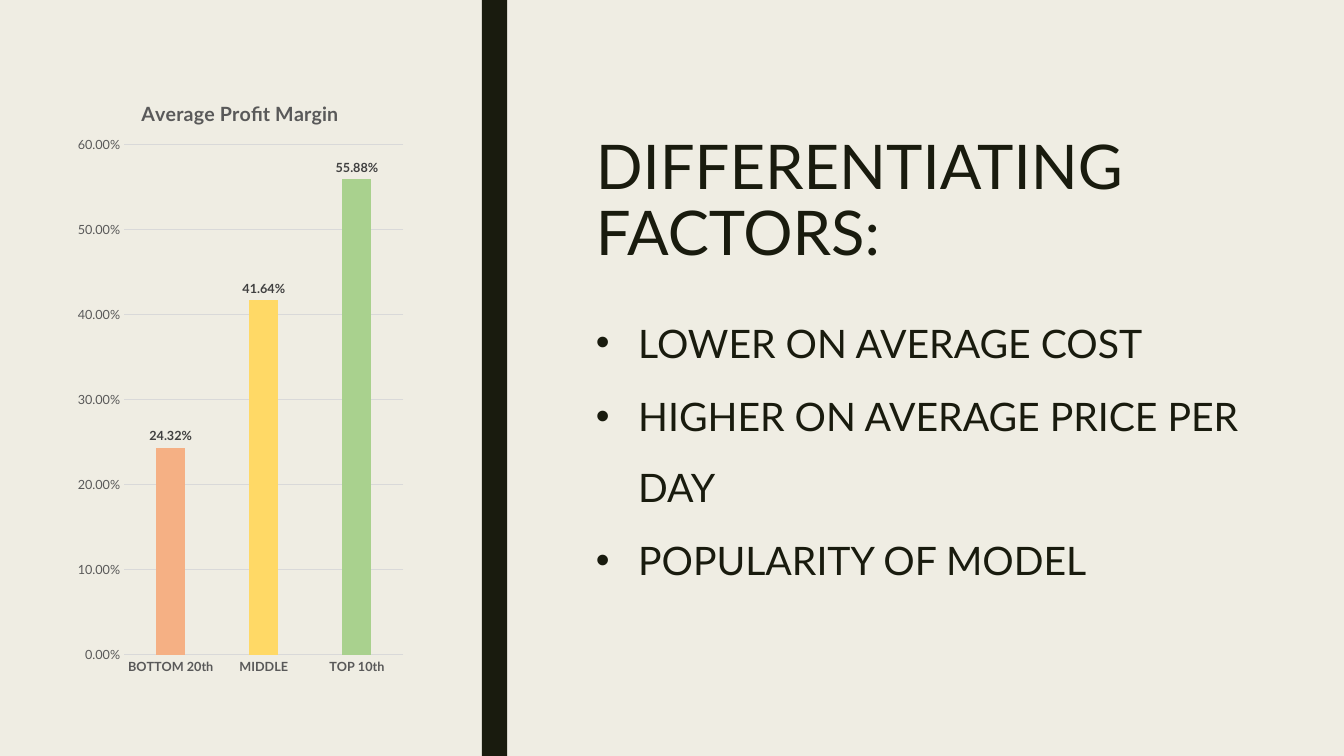
from lxml.etree import SubElement
from pptx import Presentation
from pptx.chart.data import CategoryChartData
from pptx.dml.color import RGBColor
from pptx.enum.chart import XL_CHART_TYPE, XL_LABEL_POSITION, XL_TICK_MARK
from pptx.enum.shapes import MSO_SHAPE
from pptx.enum.text import MSO_ANCHOR, MSO_AUTO_SIZE, PP_ALIGN
from pptx.oxml import parse_xml
from pptx.oxml.ns import nsdecls, qn
from pptx.util import Inches, Pt

COLORS = {
    "paper": "EFEDE3", "ink": "191B0E", "grid": "D9D9D9", "gray": "595959",
    "dark": "404040", "black": "000000", "base": "8C8D86",
    "low": "F5B084", "mid": "FFD966", "high": "A9D18E",
}


class Deck:
    def __init__(self, font):
        self.font = font
        self.show = Presentation()
        self.show.slide_width = Inches(13.33)
        self.show.slide_height = Inches(7.5)
        self.slide = self.show.slides.add_slide(self.show.slide_layouts[1])
        self.fill(self.slide.background.fill, "paper")

    def fill(self, fill, color):
        fill.solid()
        fill.fore_color.rgb = RGBColor.from_string(COLORS[color])

    def style(self, font, size, color, bold=False):
        font.name = self.font
        font.size = Pt(size)
        font.bold = bold
        font.color.rgb = RGBColor.from_string(COLORS[color])

    def text(self, para, words, size=28, color="ink", bold=False,
             space=1.0, after=0, bullet=False):
        para.text = words
        para.alignment = PP_ALIGN.LEFT
        para.line_spacing = space
        para.space_before = Pt(0)
        para.space_after = Pt(after)
        if bullet:
            props = para._p.get_or_add_pPr()
            props.set("marL", str(Inches(0.42)))
            props.set("indent", str(-Inches(0.42)))
            SubElement(props, qn("a:buFont")).set("typeface", "Arial")
            SubElement(props, qn("a:buChar")).set("char", "•")
        self.style(para.runs[0].font, size, color, bold)

    def holder(self, index, box, lines, anchor, **form):
        shape = self.slide.placeholders[index]
        shape.left, shape.top, shape.width, shape.height = map(Inches, box)
        frame = shape.text_frame
        frame.word_wrap = True
        frame.auto_size = MSO_AUTO_SIZE.NONE
        frame.vertical_anchor = anchor
        for i, line in enumerate(lines):
            para = frame.add_paragraph() if i else frame.paragraphs[0]
            self.text(para, line, **form)

    def bar(self, box, color):
        shape = self.slide.shapes.add_shape(
            MSO_SHAPE.RECTANGLE, *map(Inches, box))
        shape.shadow.inherit = False
        self.fill(shape.fill, color)
        shape.line.fill.background()

    def place(self, node, index, **parts):
        for old in node.findall(qn("c:layout")):
            node.remove(old)
        marks = "".join(f'<c:{k} val="{v}"/>' for k, v in parts.items())
        node.insert(index, parse_xml(
            f'<c:layout {nsdecls("c")}><c:manualLayout>{marks}'
            '</c:manualLayout></c:layout>'))

    def line(self, form):
        form.line.width = Pt(0.75)
        self.fill(form.line.fill, "grid")

    def chart(self, box, title, names, values, colors):
        data = CategoryChartData(number_format="0.00%")
        data.categories = names
        data.add_series("Series 1", values)
        chart = self.slide.shapes.add_chart(
            XL_CHART_TYPE.COLUMN_CLUSTERED, *map(Inches, box), data).chart
        self.style(chart.font, 10, "black")
        chart.has_legend = False
        chart.has_title = True
        head = chart.chart_title
        self.text(head.text_frame.paragraphs[0], title, size=14,
                  color="gray", bold=True)
        head.include_in_layout = False
        self.place(head._element, 1, xMode="edge", yMode="edge",
                   x=0.2, y=0.04)
        self.place(chart._chartSpace.chart.plotArea, 0, layoutTarget="inner",
                   xMode="edge", yMode="edge", x=0.16, y=0.12, w=0.82, h=0.83)
        for axis in (chart.category_axis, chart.value_axis):
            axis.major_tick_mark = axis.minor_tick_mark = XL_TICK_MARK.NONE
        cats, vals = chart.category_axis, chart.value_axis
        self.style(cats.tick_labels.font, 9, "gray", True)
        self.line(cats.format)
        self.style(vals.tick_labels.font, 9, "gray")
        vals.format.line.fill.background()
        self.line(vals.major_gridlines.format)
        vals.minimum_scale, vals.maximum_scale, vals.major_unit = 0, 0.6, 0.1
        vals.tick_labels.number_format = "0.00%"
        vals.tick_labels.number_format_is_linked = False
        plot = chart.plots[0]
        plot.gap_width, plot.overlap = 219, -27
        plot.vary_by_categories = False
        series = plot.series[0]
        self.fill(series.format.fill, "base")
        for i, color in enumerate(colors):
            self.fill(series.points[i].format.fill, color)
        labels = series.data_labels
        labels.show_value = True
        labels.position = XL_LABEL_POSITION.OUTSIDE_END
        labels.number_format = "0.00%"
        labels.number_format_is_linked = False
        self.style(labels.font, 9, "dark", True)


def main():
    deck = Deck("Lato")
    deck.bar((4.78, 0, 0.25, 7.5), "ink")
    deck.chart((0.69, 0.7, 3.38, 6.1), "Average Profit Margin",
               ("BOTTOM 20th", "MIDDLE", "TOP 10th"),
               (0.2432, 0.4164, 0.5588), ("low", "mid", "high"))
    deck.holder(0, (5.81, 1.28, 6.76, 1.47), ["DIFFERENTIATING FACTORS:"],
                MSO_ANCHOR.MIDDLE, size=44, space=0.89)
    deck.holder(1, (5.81, 2.88, 6.76, 2.19),
                ["LOWER ON AVERAGE COST", "HIGHER ON AVERAGE PRICE PER DAY",
                 "POPULARITY OF MODEL"],
                MSO_ANCHOR.TOP, space=1.5, after=2, bullet=True)
    deck.show.save("out.pptx")


if __name__ == "__main__":
    main()
